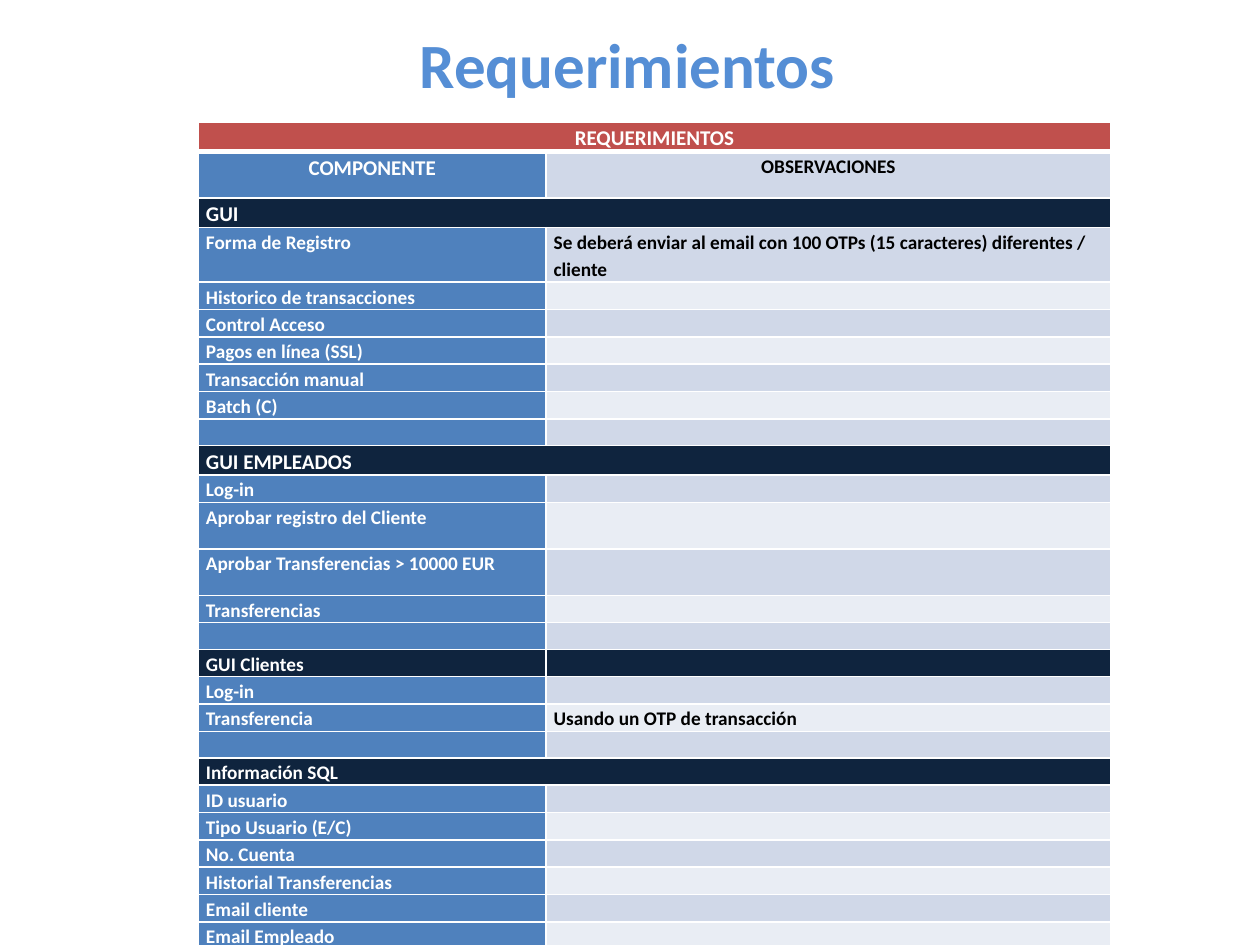
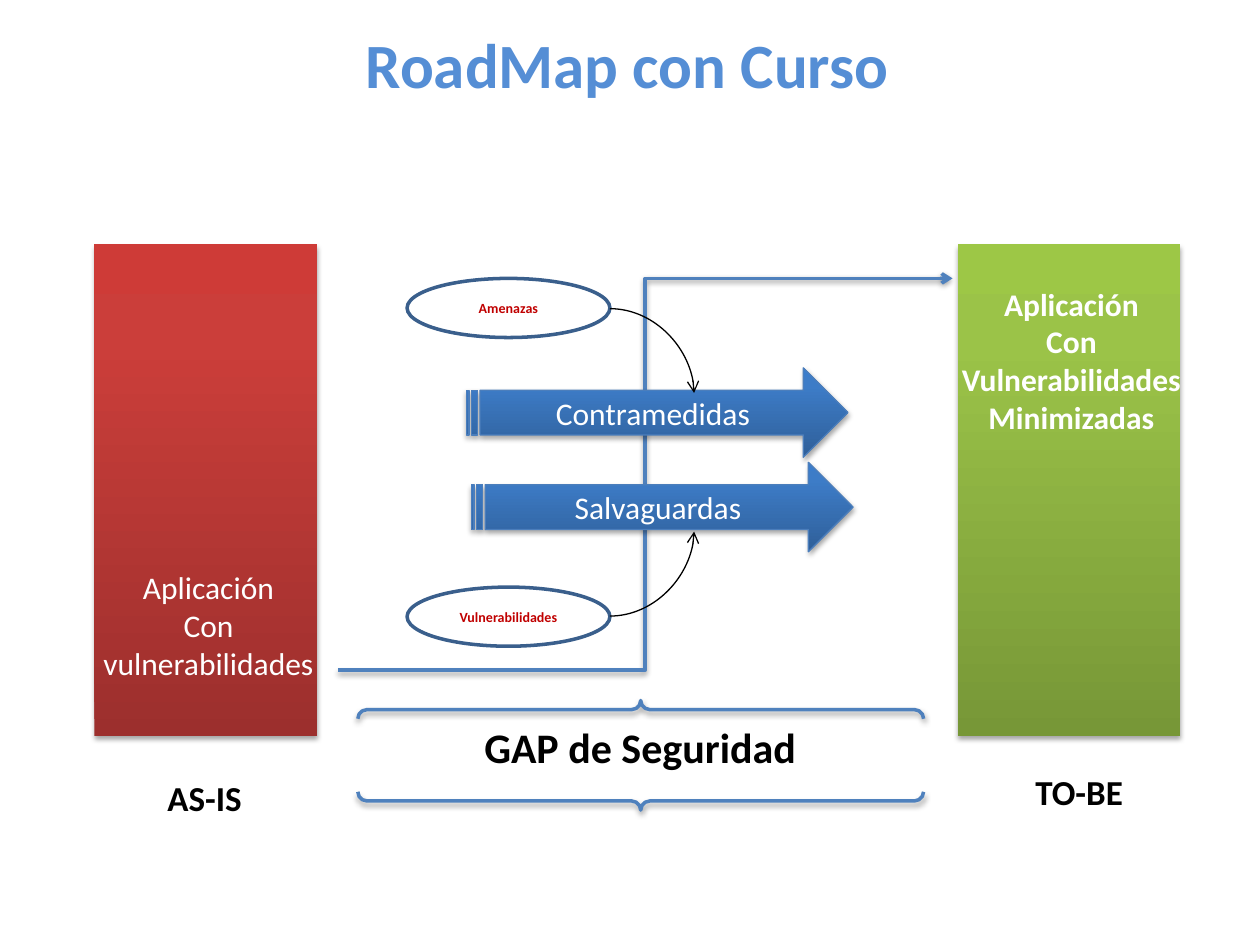
from lxml import etree
from pptx import Presentation
from pptx.dml.color import RGBColor
from pptx.enum.shapes import MSO_CONNECTOR, MSO_SHAPE
from pptx.enum.text import MSO_ANCHOR, MSO_AUTO_SIZE, PP_ALIGN
from pptx.oxml import parse_xml
from pptx.oxml.ns import nsdecls, qn
from pptx.util import Pt

FONT = "Calibri"
TITLE_BLUE, BLUE, NAVY, RED = "558ED5", "4F81BD", "0F243E", "C0504D"
BAND_DARK, BAND_LIGHT = "D0D8E8", "E9EDF4"
WHITE, BLACK = "FFFFFF", "000000"
RED_GRADIENT = ("9C2F2D", "CB3E3A", "CE3B37")
GREEN_GRADIENT = ("779737", "9BC348", "9DC746")
BLUE_GRADIENT = ("2F5F99", "3D7CC7", "3A7CCB")


def write(frame, text, size, color, bold=True, align=PP_ALIGN.CENTER, spacing=None):
    """Fill a text frame, one paragraph for each line of text."""
    frame.text = text
    for paragraph in frame.paragraphs:
        paragraph.alignment = align
        paragraph.line_spacing = spacing
        font = paragraph.font
        font.name, font.size, font.bold = FONT, Pt(size), bold
        font.color.rgb = RGBColor.from_string(color)


def style(shape, fill=None, line=None, width=2, shadow=None, arrow=False):
    """Set fill (hex, or three gradient stops), line, shadow (alpha %, distance) and arrowhead."""
    properties = shape._element.spPr
    if isinstance(fill, tuple):
        shape.fill.gradient()
        shape.fill.gradient_angle = 90
        stops = properties.find(qn("a:gradFill")).find(qn("a:gsLst"))
        for old_stop in list(stops):
            stops.remove(old_stop)
        for position, color in zip((0, 80, 100), fill):
            stop = etree.SubElement(stops, qn("a:gs"), pos=str(position * 1000))
            etree.SubElement(stop, qn("a:srgbClr"), val=color)
    elif fill:
        shape.fill.solid()
        shape.fill.fore_color.rgb = RGBColor.from_string(fill)
    elif hasattr(shape, "fill"):
        shape.fill.background()
    if line:
        shape.line.color.rgb = RGBColor.from_string(line)
        shape.line.width = Pt(width)
    else:
        shape.line.fill.background()
    if arrow:
        etree.SubElement(properties.find(qn("a:ln")), qn("a:tailEnd"), type="arrow")
    effects = etree.SubElement(properties, qn("a:effectLst"))
    if shadow:
        alpha, distance = shadow
        outer = etree.SubElement(effects, qn("a:outerShdw"), blurRad=str(Pt(3.1)),
                                 dist=str(Pt(distance)), dir="5400000", rotWithShape="0")
        color = etree.SubElement(outer, qn("a:srgbClr"), val=BLACK)
        etree.SubElement(color, qn("a:alpha"), val=str(alpha * 1000))


deck = Presentation()
deck.slide_width, deck.slide_height = Pt(720), Pt(540)
slides = []
for heading in ("Requerimientos", "RoadMap con Curso"):
    slide = deck.slides.add_slide(deck.slide_layouts[5])
    title = slide.shapes.title
    title.left, title.top, title.width, title.height = Pt(42.5), Pt(10.8), Pt(632), Pt(51)
    write(title.text_frame, heading, 36, TITLE_BLUE)
    title.text_frame.auto_size = MSO_AUTO_SIZE.NONE
    title.text_frame.vertical_anchor = MSO_ANCHOR.TOP
    slides.append(slide)
requirements, roadmap = slides

# Requirements table: component, remarks, row height
SECTIONS = ("GUI", "GUI EMPLEADOS", "GUI Clientes", "Información SQL")
LARGE = ("REQUERIMIENTOS", "COMPONENTE", "GUI", "GUI EMPLEADOS")
rows = [
    ("REQUERIMIENTOS", "", 16.2),
    ("COMPONENTE", "OBSERVACIONES", 26.6),
    ("GUI", "", 16.2),
    ("Forma de Registro",
     "Se deberá enviar al email con 100 OTPs (15 caracteres) diferentes / cliente", 30.4),
    ("Historico de transacciones", "", 15.2),
    ("Control Acceso", "", 15.2),
    ("Pagos en línea (SSL)", "", 15.2),
    ("Transacción manual", "", 15.2),
    ("Batch (C)", "", 15.2),
    ("", "", 15.2),
    ("GUI EMPLEADOS", "", 16.2),
    ("Log-in", "", 15.2),
    ("Aprobar registro del Cliente", "", 26.6),
    ("Aprobar Transferencias > 10000 EUR", "", 26.6),
    ("Transferencias", "", 15.2),
    ("", "", 15.2),
    ("GUI Clientes", "", 15.2),
    ("Log-in", "", 15.2),
    ("Transferencia", "Usando un OTP de transacción", 15.2),
    ("", "", 15.2),
    ("Información SQL", "", 15.2),
    ("ID usuario", "", 15.2),
    ("Tipo Usuario (E/C)", "", 15.2),
    ("No. Cuenta", "", 15.2),
    ("Historial Transferencias", "", 15.2),
    ("Email cliente", "", 15.2),
    ("Email Empleado", "", 15.2),
]
table = requirements.shapes.add_table(
    len(rows), 2, Pt(113.4), Pt(69.8), Pt(521.3), Pt(sum(row[2] for row in rows))).table
table.columns[0].width, table.columns[1].width = Pt(198.7), Pt(322.6)

for index, (component, remarks, height) in enumerate(rows):
    table.rows[index].height = Pt(height)
    if index == 0:
        fills = (RED, RED)
    elif component in SECTIONS:
        fills = (NAVY, NAVY)
    else:
        fills = (BLUE, BAND_DARK if index % 2 else BAND_LIGHT)
    for column, text in enumerate((component, remarks)):
        cell = table.cell(index, column)
        cell.margin_left = cell.margin_right = Pt(4.3)
        cell.margin_top = cell.margin_bottom = 0
        write(cell.text_frame, text, 12 if text in LARGE else 11,
              BLACK if column else WHITE,
              align=PP_ALIGN.CENTER if index < 2 else PP_ALIGN.LEFT, spacing=1.15)
        cell.fill.solid()
        cell.fill.fore_color.rgb = RGBColor.from_string(fills[column])
        for order, side in enumerate(("lnL", "lnR", "lnT", "lnB")):
            heavy = (index, side) in ((0, "lnB"), (1, "lnT"))
            cell._tc.get_or_add_tcPr().insert(order, parse_xml(
                f'<a:{side} {nsdecls("a")} w="{Pt(3 if heavy else 1)}"><a:solidFill>'
                f'<a:srgbClr val="{WHITE}"/></a:solidFill></a:{side}>'))
    if index == 0 or component in SECTIONS and component != "GUI Clientes":
        table.cell(index, 0).merge(table.cell(index, 1))

# Roadmap from the current state to the target state
shapes = roadmap.shapes
for left, gradient in ((54, RED_GRADIENT), (547.2, GREEN_GRADIENT)):
    state = shapes.add_shape(MSO_SHAPE.RECTANGLE, Pt(left), Pt(139.7), Pt(127.4), Pt(280.8))
    style(state, gradient, shadow=(35, 1.8))

path_to_target = shapes.add_connector(
    MSO_CONNECTOR.ELBOW, Pt(193), Pt(383), Pt(544.3), Pt(159.1))
style(path_to_target, line=BLUE, shadow=(38, 1.6), arrow=True)

labels = [
    ("AS-IS", 87.8, 439.9, 58.3, 31.7, 20, BLACK, True),
    ("TO-BE", 583.9, 437, 65.5, 31.7, 20, BLACK, True),
    ("GAP de Seguridad", 268.6, 409, 194.4, 36, 24, BLACK, True),
    ("Aplicación\nCon\nvulnerabilidades", 51.1, 321.1, 136.1, 72.7, 18, WHITE, False),
    ("Aplicación\nCon\nVulnerabilidades\nMinimizadas", 541.4, 159.1, 141.8, 94.3, 18, WHITE, True),
]
for text, left, top, width, height, size, color, bold in labels:
    label = shapes.add_textbox(Pt(left), Pt(top), Pt(width), Pt(height))
    label.text_frame.word_wrap = False
    write(label.text_frame, text, size, color, bold)

for text, left, top in (("Contramedidas", 266.4, 210.2), ("Salvaguardas", 269.3, 264.2)):
    measure = shapes.add_shape(
        MSO_SHAPE.STRIPED_RIGHT_ARROW, Pt(left), Pt(top), Pt(218.2), Pt(51.1))
    style(measure, BLUE_GRADIENT, "4B7EBC", 0.75, shadow=(35, 1.8))
    write(measure.text_frame, text, 18, WHITE, bold=False)

gap_brace = shapes.add_shape(MSO_SHAPE.DOUBLE_BRACE, Pt(334.8), Pt(270), Pt(62.6), Pt(323.3))
gap_brace.rotation = 90
style(gap_brace, line=BLUE, shadow=(38, 1.6))

for text, top, arrow_start, arrow_end in (("Vulnerabilidades", 335.5, 352.1, 303.8),
                                          ("Amenazas", 159.1, 176.4, 224.6)):
    risk = shapes.add_shape(MSO_SHAPE.OVAL, Pt(232.6), Pt(top), Pt(115.9), Pt(33.8))
    style(risk, WHITE, "3A5F8C")
    write(risk.text_frame, text, 8, "C00000")
    response = shapes.add_connector(
        MSO_CONNECTOR.CURVE, Pt(348.5), Pt(arrow_start), Pt(396.7), Pt(arrow_end))
    response._element.spPr.find(qn("a:prstGeom")).set("prst", "curvedConnector2")
    style(response, line=BLACK, width=0.75, arrow=True)

deck.save("out.pptx")
